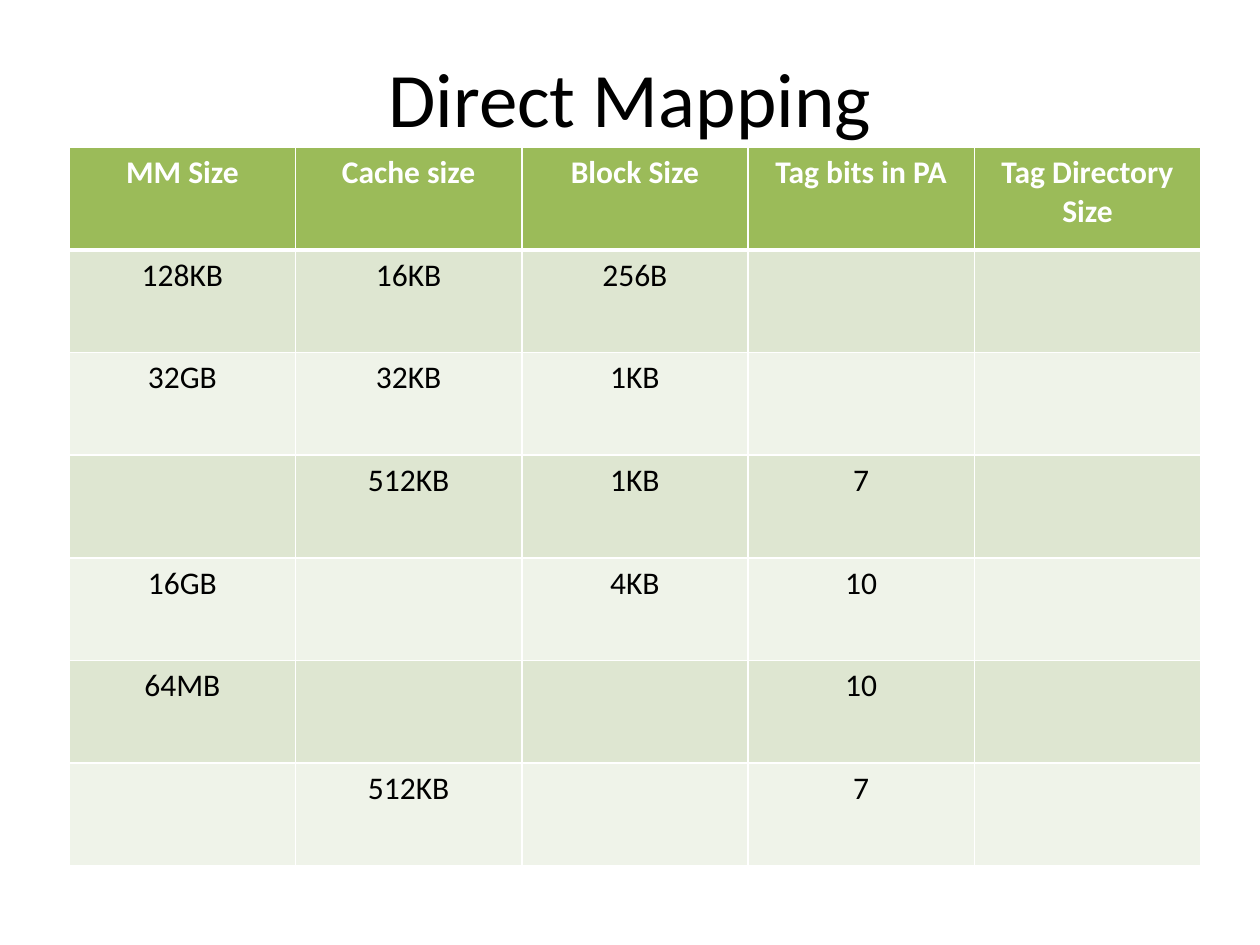
import lxml.etree
import pptx
import pptx.dml.color
import pptx.enum.text
import pptx.oxml.ns
import pptx.util

Inches = pptx.util.Inches
COLORS = {
    "title": "000000",
    "header": "9BBB59",
    "header_text": "FFFFFF",
    "odd_row": "DEE6D1",
    "even_row": "EFF3E9",
    "body_text": "000000",
    "border": "FFFFFF",
}
ROWS = [
    ["MM Size", "Cache size", "Block Size", "Tag bits in PA", "Tag Directory Size"],
    ["128KB", "16KB", "256B", "", ""],
    ["32GB", "32KB", "1KB", "", ""],
    ["", "512KB", "1KB", "7", ""],
    ["16GB", "", "4KB", "10", ""],
    ["64MB", "", "", "10", ""],
    ["", "512KB", "", "7", ""],
]


def add_centered_run(paragraph, text, size, color, bold=False):
    paragraph.alignment = pptx.enum.text.PP_ALIGN.CENTER
    run = paragraph.add_run()
    run.text = text
    run.font.name = "Calibri"
    run.font.size = pptx.util.Pt(size)
    run.font.bold = bold
    run.font.color.rgb = pptx.dml.color.RGBColor.from_string(COLORS[color])


def add_border(cell, side, width):
    qn = pptx.oxml.ns.qn
    properties = cell._tc.get_or_add_tcPr()
    line = lxml.etree.SubElement(properties, qn(f"a:ln{side}"), w=str(pptx.util.Pt(width)))
    fill = lxml.etree.SubElement(line, qn("a:solidFill"))
    lxml.etree.SubElement(fill, qn("a:srgbClr"), val=COLORS["border"])


presentation = pptx.Presentation()
presentation.slide_width = Inches(10)
presentation.slide_height = Inches(7.5)
slide = presentation.slides.add_slide(presentation.slide_layouts[6])

title = slide.shapes.add_textbox(Inches(0.5), Inches(0.3), Inches(9), Inches(0.93)).text_frame
title.word_wrap = True
title.vertical_anchor = pptx.enum.text.MSO_ANCHOR.MIDDLE
add_centered_run(title.paragraphs[0], "Direct Mapping", 44, "title")

mapping = slide.shapes.add_table(
    len(ROWS), len(ROWS[0]), Inches(0.55), Inches(1.17), Inches(8.98), Inches(5.7)
).table

for row, values in enumerate(ROWS):
    is_header = row == 0
    band = "header" if is_header else "odd_row" if row % 2 else "even_row"
    for column, value in enumerate(values):
        cell = mapping.cell(row, column)
        widths = {"L": 1, "R": 1, "T": 3 if row == 1 else 1, "B": 3 if is_header else 1}
        for side, width in widths.items():
            add_border(cell, side, width)
        cell.fill.solid()
        cell.fill.fore_color.rgb = pptx.dml.color.RGBColor.from_string(COLORS[band])
        if value:
            text_color = "header_text" if is_header else "body_text"
            add_centered_run(cell.text_frame.paragraphs[0], value, 18, text_color, is_header)

presentation.save("out.pptx")
